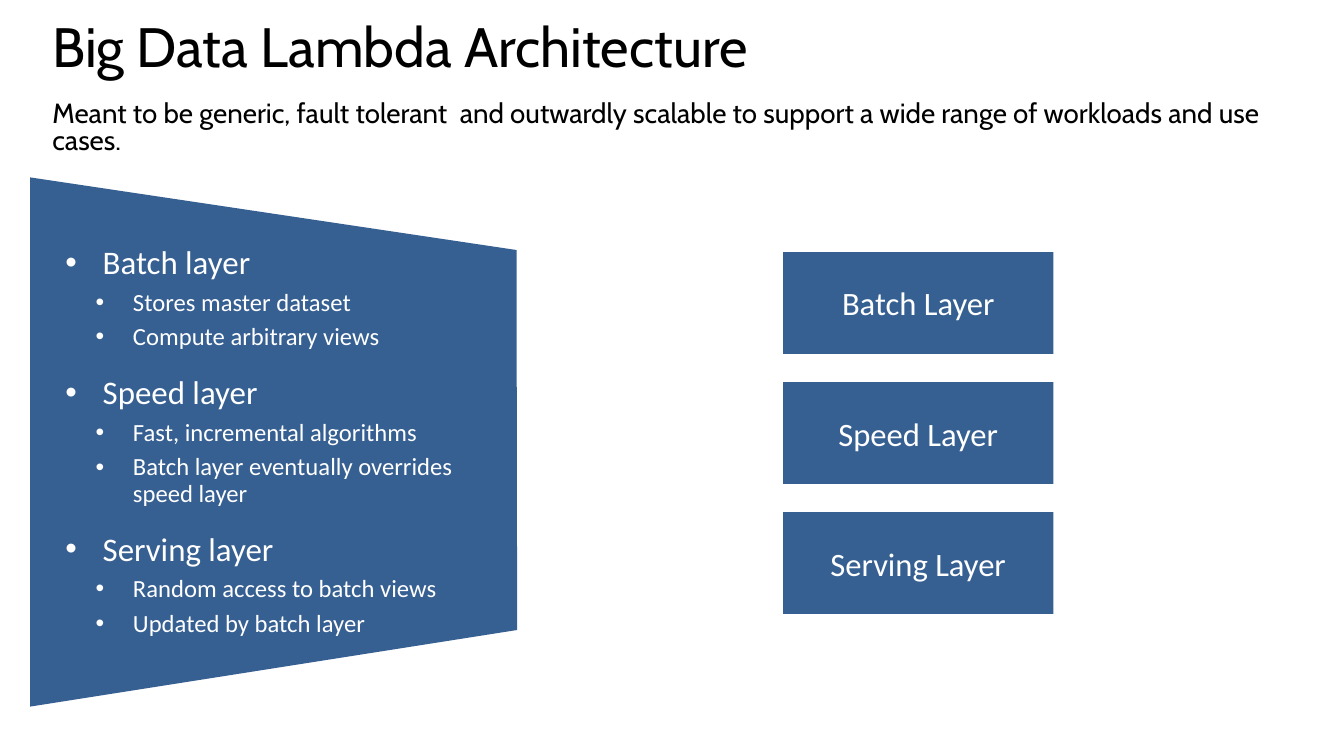
"""Builds the Big Data Lambda Architecture slide."""
from lxml.etree import SubElement
from pptx import Presentation
from pptx.dml.color import RGBColor
from pptx.enum.shapes import MSO_SHAPE
from pptx.enum.text import MSO_ANCHOR, MSO_AUTO_SIZE, PP_ALIGN
from pptx.oxml.ns import qn
from pptx.util import Pt

COLOURS = {"panel": "376092", "title": "000000", "light": "FFFFFF"}

TITLE = "Big Data Lambda Architecture"
SUBTITLE = ("Meant to be generic, fault tolerant  and outwardly scalable "
            "to support a wide range of workloads and use cases.")
LAYERS = {
    "Batch layer": ["Stores master dataset", "Compute arbitrary views"],
    "Speed layer": ["Fast, incremental algorithms",
                    "Batch layer eventually overrides speed layer"],
    "Serving layer": ["Random access to batch views", "Updated by batch layer"],
}
BOXES = ["Batch Layer", "Speed Layer", "Serving Layer"]
PANEL_CORNERS = [(21.6, 126.7), (369, 178.6), (369.4, 450), (21.6, 504.7)]

TITLE_FRAME = {"word_wrap": True, "auto_size": MSO_AUTO_SIZE.NONE,
               "vertical_anchor": MSO_ANCHOR.TOP,
               "margin_left": Pt(7.2), "margin_right": Pt(7.2),
               "margin_top": Pt(3.6), "margin_bottom": Pt(3.6)}
PANEL_FRAME = {"word_wrap": True, "vertical_anchor": MSO_ANCHOR.MIDDLE,
               "margin_left": Pt(25.2), "margin_right": Pt(14.4),
               "margin_top": Pt(68.4), "margin_bottom": Pt(68.4)}
BOX_FRAME = {"word_wrap": True, "vertical_anchor": MSO_ANCHOR.MIDDLE}
HEADING = {"alignment": PP_ALIGN.LEFT, "line_spacing": 0.8, "space_before": Pt(0)}
SUBHEADING = {**HEADING, "space_before": Pt(17)}
BULLET = {"alignment": PP_ALIGN.LEFT, "line_spacing": 0.9, "space_after": Pt(5.9)}
CENTRED = {"alignment": PP_ALIGN.CENTER}


def apply_format(target, values):
    """Set every attribute in values on target."""
    for attribute, value in values.items():
        setattr(target, attribute, value)


def write(paragraph, text, size, font, colour, values):
    """Put one formatted run into a paragraph."""
    apply_format(paragraph, values)
    run = paragraph.add_run()
    run.text = text
    apply_format(run.font, {"size": Pt(size), "name": font})
    run.font.color.rgb = RGBColor.from_string(COLOURS[colour])


def add_bullet(paragraph, indent):
    """Give a paragraph a round bullet with a hanging indent."""
    properties = paragraph._p.get_or_add_pPr()
    properties.set("marL", str(Pt(indent)))
    properties.set("indent", str(Pt(-26.6)))
    SubElement(properties, qn("a:buFont")).set("typeface", "Arial")
    SubElement(properties, qn("a:buChar")).set("char", "•")


def paint(shape):
    """Fill a shape with the panel colour, without line or shadow."""
    shape.shadow.inherit = False
    shape.fill.solid()
    shape.fill.fore_color.rgb = RGBColor.from_string(COLOURS["panel"])
    shape.line.fill.background()


def add_title(slide):
    """Write the heading and its explanation in the title placeholder."""
    title = slide.shapes.title
    apply_format(title, {"left": Pt(30.2), "top": Pt(14.4),
                         "width": Pt(907.2), "height": Pt(97.9)})
    frame = title.text_frame
    apply_format(frame, TITLE_FRAME)
    write(frame.paragraphs[0], TITLE, 39.6, "Cabin", "title", HEADING)
    write(frame.add_paragraph(), SUBTITLE, 19.8, "Cabin", "title", SUBHEADING)


def add_layer_panel(slide):
    """Draw the tapered panel and list the layers in it."""
    start, *others = [(Pt(x), Pt(y)) for x, y in PANEL_CORNERS]
    builder = slide.shapes.build_freeform(*start)
    builder.add_line_segments(others, close=True)
    panel = builder.convert_to_shape()
    paint(panel)
    frame = panel.text_frame
    apply_format(frame, PANEL_FRAME)
    entries = [entry for layer, details in LAYERS.items()
               for entry in [(layer, 23.5, 26.6, 11.8),
                             *((detail, 17.6, 48.2, 0) for detail in details)]]
    for index, (text, size, indent, before) in enumerate(entries):
        paragraph = frame.add_paragraph() if index else frame.paragraphs[0]
        add_bullet(paragraph, indent)
        spacing = {**BULLET, "space_before": Pt(before if index else 0)}
        write(paragraph, text, size, "Calibri", "light", spacing)


def add_layer_box(slide, label, top):
    """Draw one labelled layer box."""
    box = slide.shapes.add_shape(MSO_SHAPE.RECTANGLE, Pt(559.4), Pt(top),
                                 Pt(193), Pt(72.7))
    paint(box)
    apply_format(box.text_frame, BOX_FRAME)
    write(box.text_frame.paragraphs[0], label, 23.3, "Calibri", "light", CENTRED)


def main():
    """Build and save the slide."""
    deck = Presentation()
    apply_format(deck, {"slide_width": Pt(960), "slide_height": Pt(540)})
    slide = deck.slides.add_slide(deck.slide_layouts[5])
    add_title(slide)
    add_layer_panel(slide)
    for row, label in enumerate(BOXES):
        add_layer_box(slide, label, 180 + 92.9 * row)
    deck.save("out.pptx")


if __name__ == "__main__":
    main()
